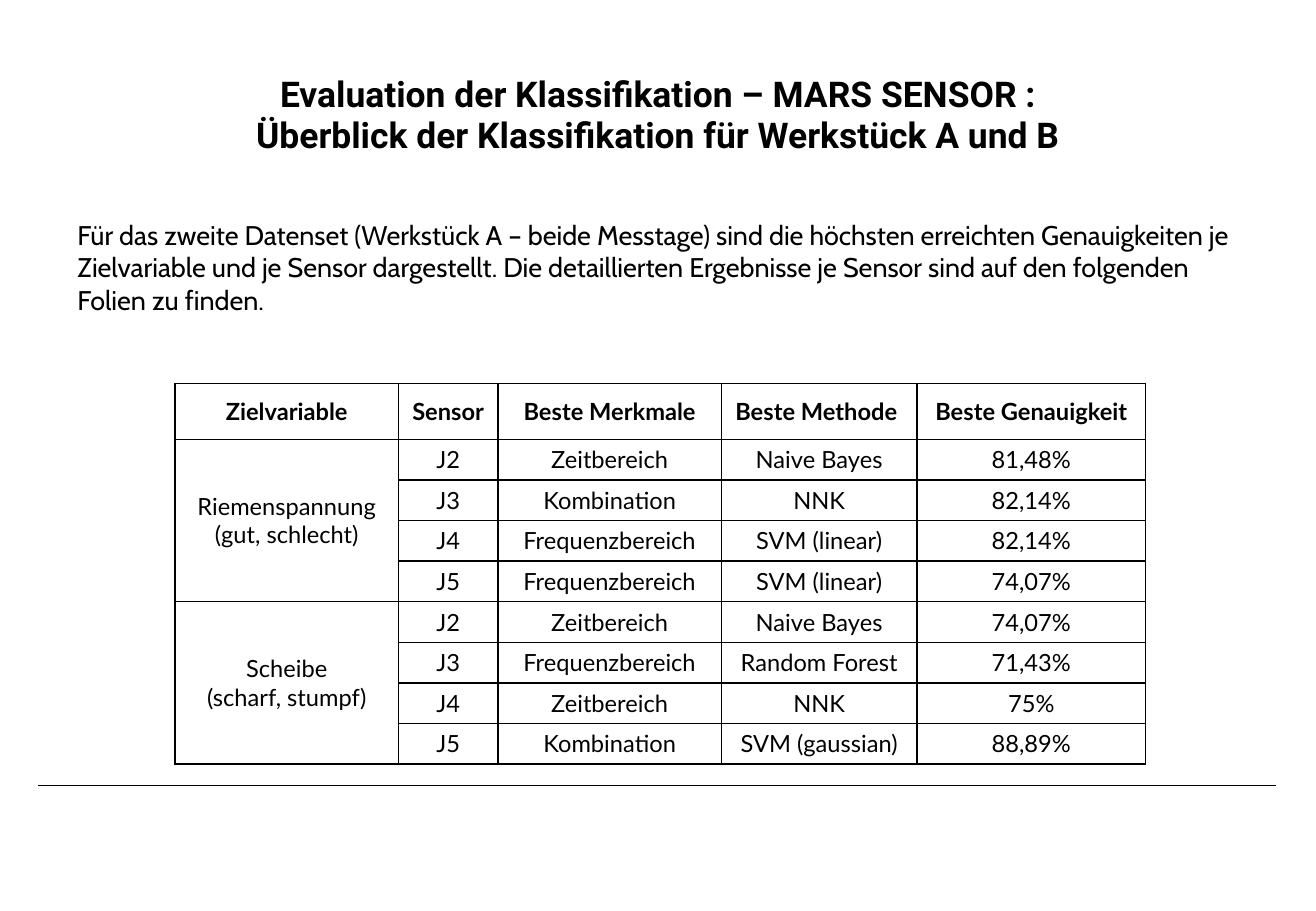
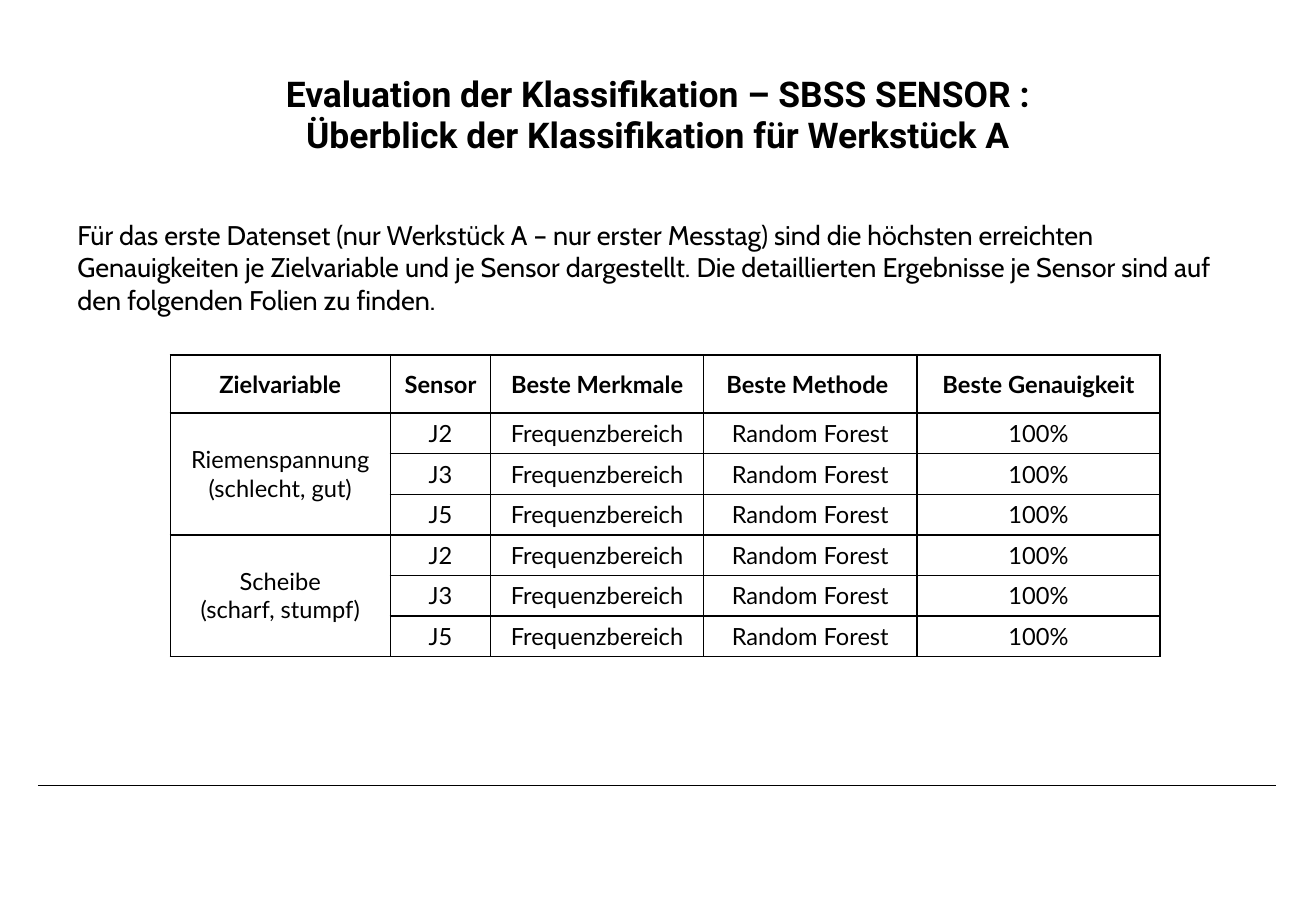
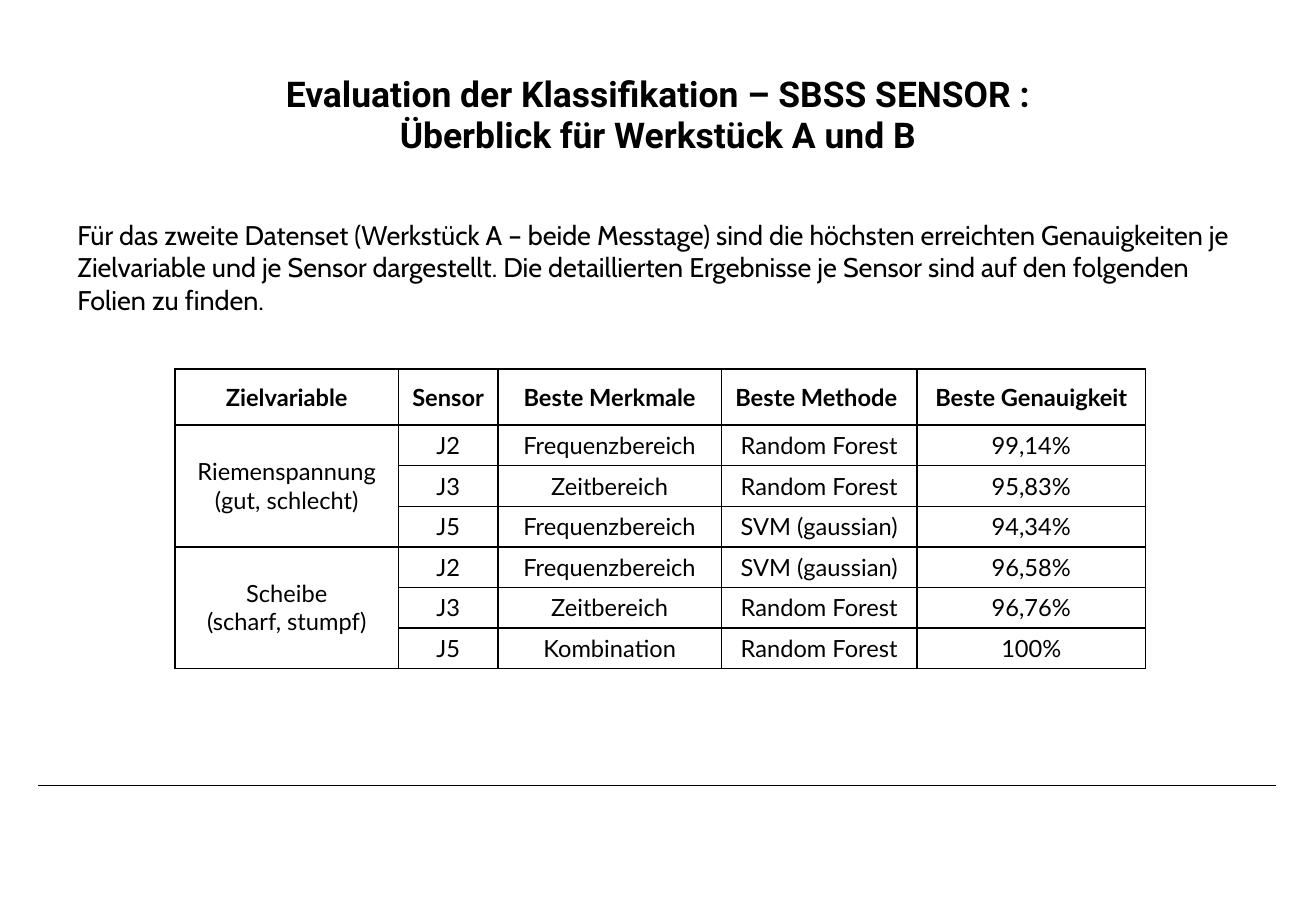
from pptx import Presentation
from pptx.dml.color import RGBColor
from pptx.enum.shapes import MSO_CONNECTOR as Connector
from pptx.enum.text import MSO_ANCHOR as Anchor, PP_ALIGN as Align
from pptx.oxml import parse_xml
from pptx.oxml.ns import nsdecls, qn
from pptx.util import Cm, Pt
from lxml.etree import SubElement

# Shared style
BLACK = "000000"
TITLE_STYLE = dict(font="Roboto", size=21, bold=True, align=Align.CENTER, line=24.2)
BODY_STYLE = dict(font="Cabin", size=16, line=19.1)
CELL_STYLE = dict(font="Lato", size=14, align=Align.CENTER)
LEFT, WIDTH = 1.37, 24.77
ROW_HEIGHT = 0.84
HEADERS = ["Zielvariable", "Sensor", "Beste Merkmale", "Beste Methode ", "Beste Genauigkeit"]
NARROW_COLUMNS = [4.67, 2.08, 4.67, 4.09, 4.78]
WIDE_COLUMNS = [4.6, 2.1, 4.45, 4.46, 5.08]

# Wording
BELT = "Riemenspannung\n(gut, schlecht)"
BELT_REVERSED = "Riemenspannung\n(schlecht, gut)"
DISC = "Scheibe\n(scharf, stumpf)"
TIME, FREQUENCY, BOTH = "Zeitbereich", "Frequenzbereich", "Kombination"
FOREST, BAYES, NEIGHBOURS = "Random Forest", "Naive Bayes", "NNK"
SVM_LINEAR, SVM_GAUSSIAN = "SVM (linear)", "SVM (gaussian)"
INTRO = (
    "Für das {} sind die höchsten erreichten Genauigkeiten je Zielvariable "
    "und je Sensor dargestellt. Die detaillierten Ergebnisse je Sensor sind "
    "auf den folgenden Folien zu finden."
)
FIRST_DATASET = "erste Datenset (nur Werkstück A – nur erster Messtag)"
SECOND_DATASET = "zweite Datenset (Werkstück A – beide Messtage)"

# Results: target variable -> rows of sensor, features, method, accuracy
MARS_RESULTS = {
    BELT: [
        ("J2", TIME, BAYES, "81,48%"),
        ("J3", BOTH, NEIGHBOURS, "82,14%"),
        ("J4", FREQUENCY, SVM_LINEAR, "82,14%"),
        ("J5", FREQUENCY, SVM_LINEAR, "74,07%"),
    ],
    DISC: [
        ("J2", TIME, BAYES, "74,07%"),
        ("J3", FREQUENCY, FOREST, "71,43%"),
        ("J4", TIME, NEIGHBOURS, "75%"),
        ("J5", BOTH, SVM_GAUSSIAN, "88,89%"),
    ],
}
SBSS_FIRST_RESULTS = {
    target: [(sensor, FREQUENCY, FOREST, "100%") for sensor in ("J2", "J3", "J5")]
    for target in (BELT_REVERSED, DISC)
}
SBSS_SECOND_RESULTS = {
    BELT: [
        ("J2", FREQUENCY, FOREST, "99,14%"),
        ("J3", TIME, FOREST, "95,83%"),
        ("J5", FREQUENCY, SVM_GAUSSIAN, "94,34%"),
    ],
    DISC: [
        ("J2", FREQUENCY, SVM_GAUSSIAN, "96,58%"),
        ("J3", TIME, FOREST, "96,76%"),
        ("J5", BOTH, FOREST, "100%"),
    ],
}


def color(value):
    return RGBColor.from_string(value)


def write_text(frame, text, *, font, size, bold=False, align=Align.LEFT, line=None):
    """Write one paragraph per line of text."""
    for index, content in enumerate(text.split("\n")):
        paragraph = frame.paragraphs[0] if index == 0 else frame.add_paragraph()
        paragraph.text = content
        paragraph.alignment = align
        if line:
            paragraph.line_spacing = Pt(line)
        for run in paragraph.runs:
            run.font.name = font
            run.font.size = Pt(size)
            run.font.bold = bold
            run.font.color.rgb = color(BLACK)


def add_text(slide, text, top, height, style):
    box = slide.shapes.add_textbox(Cm(LEFT), Cm(top), Cm(WIDTH), Cm(height))
    box.text_frame.word_wrap = True
    write_text(box.text_frame, text, **style)


def add_footer_line(slide):
    line = slide.shapes.add_connector(
        Connector.STRAIGHT, Cm(0.79), Cm(16.43), Cm(26.67), Cm(16.43))
    line.line.color.rgb = color(BLACK)
    line.line.width = Pt(0.85)
    SubElement(line._element.spPr, qn("a:effectLst"))


def add_borders(cell):
    properties = cell._tc.get_or_add_tcPr()
    for index, side in enumerate(("lnL", "lnR", "lnT", "lnB")):
        properties.insert(index, parse_xml(
            f'<a:{side} {nsdecls("a")} w="{Pt(1)}"><a:solidFill>'
            f'<a:srgbClr val="{BLACK}"/></a:solidFill></a:{side}>'))


def write_cell(cell, text, bold=False):
    cell.vertical_anchor = Anchor.MIDDLE
    write_text(cell.text_frame, text, bold=bold, **CELL_STYLE)


def add_results(slide, results, left, top, columns, header_height):
    row_count = 1 + sum(len(rows) for rows in results.values())
    height = header_height + ROW_HEIGHT * (row_count - 1)
    table = slide.shapes.add_table(
        row_count, len(columns), Cm(left), Cm(top), Cm(sum(columns)), Cm(height)).table
    table.first_row = table.horz_banding = False
    for column, width in zip(table.columns, columns):
        column.width = Cm(width)
    for index, row in enumerate(table.rows):
        row.height = Cm(ROW_HEIGHT if index else header_height)
    for cell in table.iter_cells():
        cell.fill.background()
        add_borders(cell)

    # Header row, then one merged label for each target variable
    for index, header in enumerate(HEADERS):
        write_cell(table.cell(0, index), header, bold=True)
    first = 1
    for target, rows in results.items():
        label = table.cell(first, 0)
        label.merge(table.cell(first + len(rows) - 1, 0))
        write_cell(label, target)
        for row_index, values in enumerate(rows, first):
            for column_index, value in enumerate(values, 1):
                write_cell(table.cell(row_index, column_index), value)
        first += len(rows)


def add_overview(presentation, sensor, subtitle, dataset, results, **table_layout):
    slide = presentation.slides.add_slide(presentation.slide_layouts[6])
    add_footer_line(slide)
    title = f"Evaluation der Klassifikation – {sensor} SENSOR :\v{subtitle}"
    add_text(slide, title, 1.42, 2.51, TITLE_STYLE)
    add_text(slide, INTRO.format(dataset), 4.45, 2.4, BODY_STYLE)
    add_results(slide, results, **table_layout)


def main():
    presentation = Presentation()
    presentation.slide_width, presentation.slide_height = Cm(27.51), Cm(19.05)
    narrow = dict(left=3.66, columns=NARROW_COLUMNS, header_height=1.17)
    wide = dict(left=3.56, columns=WIDE_COLUMNS, header_height=1.22)

    add_overview(presentation, "MARS", "Überblick der Klassifikation für Werkstück A und B",
                 SECOND_DATASET, MARS_RESULTS, top=8.02, **narrow)
    add_overview(presentation, "SBSS", "Überblick der Klassifikation für Werkstück A",
                 FIRST_DATASET, SBSS_FIRST_RESULTS, top=7.42, **wide)
    add_overview(presentation, "SBSS", "Überblick für Werkstück A und B",
                 SECOND_DATASET, SBSS_SECOND_RESULTS, top=7.72, **narrow)
    presentation.save("out.pptx")


if __name__ == "__main__":
    main()
